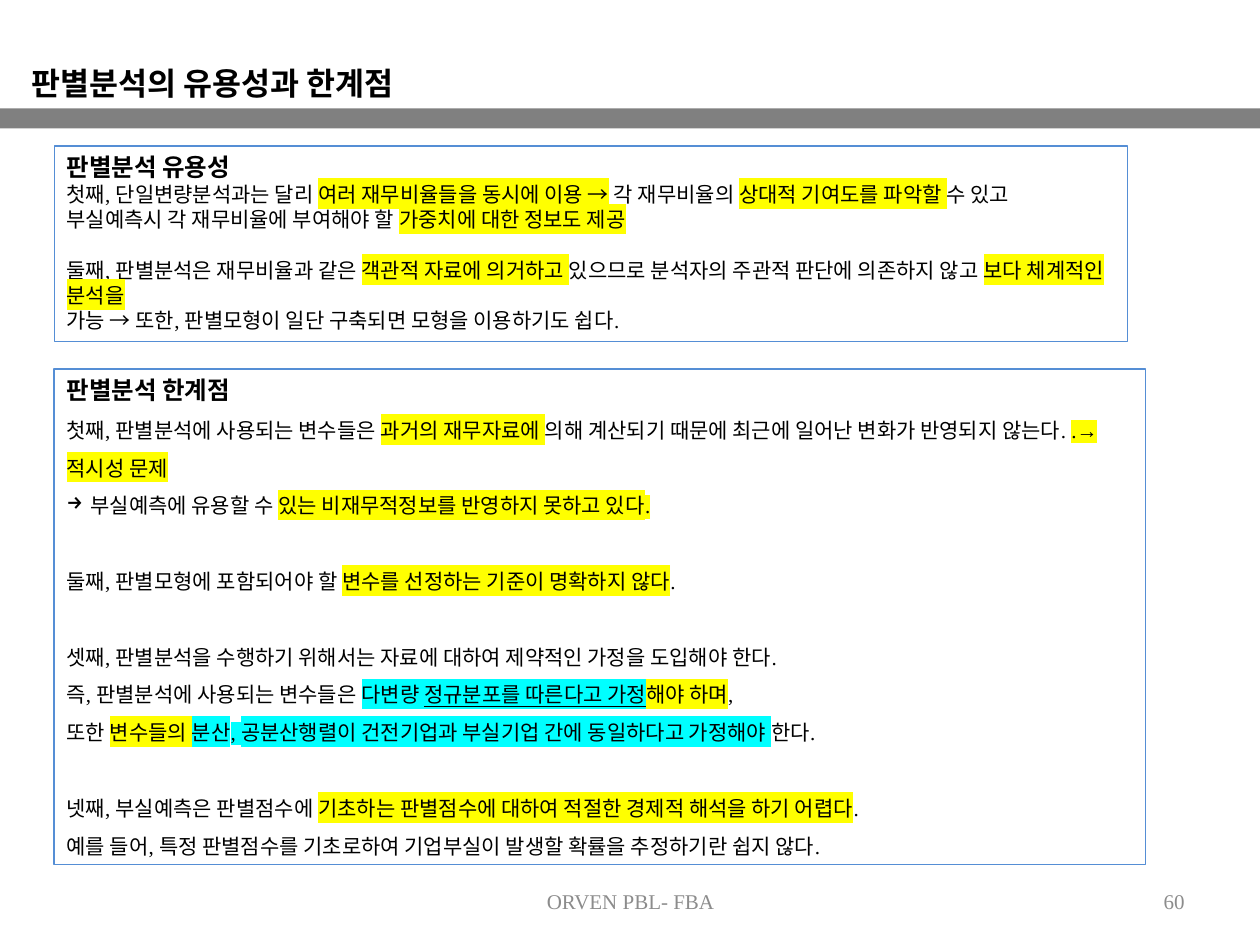
from lxml.etree import SubElement
from pptx import Presentation
from pptx.dml.color import RGBColor
from pptx.enum.shapes import MSO_SHAPE as Shape
from pptx.enum.text import MSO_ANCHOR as Anchor, PP_ALIGN as Align
from pptx.oxml.ns import qn
from pptx.util import Inches, Pt

KOREAN, LATIN = "Noto Sans CJK KR", "Times New Roman"
BLACK, GRAY, BAR, BORDER = "000000", "8C8C8C", "808080", "558ED5"
YELLOW, CYAN = "FFFF00", "00FFFF"


def color(value):
    return RGBColor.from_string(value)


class SlideBuilder:
    """Holds the text style and the current slide."""

    def __init__(self, slide, body_size=12, heading_size=14):
        self.slide = slide
        self.body_size = body_size
        self.heading_size = heading_size

    def rectangle(self, left, top, width, height, fill=None, line=None):
        shape = self.slide.shapes.add_shape(
            Shape.RECTANGLE, Inches(left), Inches(top), Inches(width), Inches(height))
        shape.shadow.inherit = False
        if fill:
            shape.fill.solid()
            shape.fill.fore_color.rgb = color(fill)
        else:
            shape.fill.background()
        if line:
            shape.line.color.rgb = color(line)
            shape.line.width = Pt(0.75)
        else:
            shape.line.fill.background()
        return shape

    def format_run(self, run, size, bold=False, ink=BLACK, font=LATIN,
                   highlight=None, underline=False):
        run.font.size = Pt(size)
        run.font.bold = bold
        if underline:
            run.font.underline = True
        run.font.fill.solid()
        run.font.fill.fore_color.rgb = color(ink)
        properties = run.font._element
        if highlight:
            mark = SubElement(properties, qn("a:highlight"))
            SubElement(mark, qn("a:srgbClr"), val=highlight)
        run.font.name = font
        SubElement(properties, qn("a:ea"), typeface=KOREAN)

    def label(self, text, left, top, width, height, align=Align.LEFT,
              anchor=Anchor.TOP, spacing=1.0, **style):
        box = self.slide.shapes.add_textbox(
            Inches(left), Inches(top), Inches(width), Inches(height))
        frame = box.text_frame
        frame.word_wrap = True
        frame.vertical_anchor = anchor
        frame.text = text
        paragraph = frame.paragraphs[0]
        paragraph.alignment = align
        paragraph.line_spacing = spacing
        self.format_run(paragraph.runs[0], **style)

    def bullet(self, paragraph, character, indent=0.19):
        properties = paragraph._p.get_or_add_pPr()
        properties.set("marL", str(Inches(indent)))
        properties.set("indent", str(-Inches(indent)))
        SubElement(properties, qn("a:buChar"), char=character)

    def panel(self, left, top, width, height, heading, groups, spacing, gap):
        """Bordered box: a heading, then groups of lines set apart by a gap."""
        frame = self.rectangle(left, top, width, height, line=BORDER).text_frame
        frame.word_wrap = True
        frame.vertical_anchor = Anchor.TOP
        frame.text = heading
        title = frame.paragraphs[0]
        title.alignment = Align.LEFT
        self.format_run(title.runs[0], self.heading_size, bold=True)
        for group_index, group in enumerate(groups):
            for line_index, pieces in enumerate(group):
                paragraph = frame.add_paragraph()
                paragraph.alignment = Align.LEFT
                paragraph.line_spacing = spacing
                if group_index and not line_index:
                    paragraph.space_before = Pt(gap)
                if pieces[0] == "→":
                    self.bullet(paragraph, pieces[0])
                    pieces = pieces[1:]
                for piece in pieces:
                    text, highlight, underline = (
                        (piece, None, False) if isinstance(piece, str)
                        else (*piece, False)[:3])
                    run = paragraph.add_run()
                    run.text = text
                    self.format_run(run, self.body_size, highlight=highlight,
                                    underline=underline)


# Each group is a list of lines; a line is plain text and (text, highlight) pieces.
USEFULNESS = [
    [
        ["첫째, 단일변량분석과는 달리 ", ("여러 재무비율들을 동시에 이용 →", YELLOW),
         " 각 재무비율의 ", ("상대적 기여도를 파악할 ", YELLOW), "수 있고"],
        ["부실예측시 각 재무비율에 부여해야 할 ", ("가중치에 대한 정보도 제공", YELLOW)],
    ],
    [
        ["둘째, 판별분석은 재무비율과 같은 ", ("객관적 자료에 의거하고 ", YELLOW),
         "있으므로 분석자의 주관적 판단에 의존하지 않고 ", ("보다 체계적인 분석을", YELLOW)],
        ["가능 → 또한, 판별모형이 일단 구축되면 모형을 이용하기도 쉽다."],
    ],
]
LIMITS = [
    [
        ["첫째, 판별분석에 사용되는 변수들은 ", ("과거의 재무자료에 ", YELLOW),
         "의해 계산되기 때문에 최근에 일어난 변화가 반영되지 않는다. ",
         (".→적시성 문제", YELLOW)],
        ["→", "부실예측에 유용할 수 ", ("있는 비재무적정보를 반영하지 못하고 있다.", YELLOW)],
    ],
    [
        ["둘째, 판별모형에 포함되어야 할 ",
         ("변수를 선정하는 기준이 명확하지 않다", YELLOW), "."],
    ],
    [
        ["셋째, 판별분석을 수행하기 위해서는 자료에 대하여 제약적인 가정을 도입해야 한다."],
        ["즉, 판별분석에 사용되는 변수들은 ", ("다변량 ", CYAN),
         ("정규분포를 따른다고 가정", CYAN, True), ("해야 하며", YELLOW), ","],
        ["또한 ", ("변수들의 ", YELLOW),
         ("분산, 공분산행렬이 건전기업과 부실기업 간에 동일하다고 가정해야 ", CYAN), "한다."],
    ],
    [
        ["넷째, 부실예측은 판별점수에 ",
         ("기초하는 판별점수에 대하여 적절한 경제적 해석을 하기 어렵다", YELLOW), "."],
        ["예를 들어, 특정 판별점수를 기초로하여 기업부실이 발생할 확률을 추정하기란 쉽지 않다."],
    ],
]


def main():
    presentation = Presentation()
    presentation.slide_width = Inches(10)
    presentation.slide_height = Inches(7.5)
    builder = SlideBuilder(presentation.slides.add_slide(presentation.slide_layouts[6]))

    # Title and bar
    builder.rectangle(0, 0.86, 10, 0.16, fill=BAR)
    builder.label("판별분석의 유용성과 한계점", 0.15, 0.37, 6.54, 0.45,
                  spacing=1.3, size=18, bold=True, font=KOREAN)

    # Usefulness and limits
    builder.panel(0.43, 1.16, 8.52, 1.55, "판별분석 유용성", USEFULNESS, 1.0, 14.4)
    builder.panel(0.43, 2.93, 8.66, 3.93, "판별분석 한계점", LIMITS, 1.5, 21.6)

    # Footer and page number
    footer = {"anchor": Anchor.MIDDLE, "size": 12, "ink": GRAY}
    builder.label("ORVEN PBL- FBA", 3.42, 6.95, 3.17, 0.4, align=Align.CENTER, **footer)
    builder.label("60", 7.17, 6.95, 2.33, 0.4, align=Align.RIGHT, **footer)

    presentation.save("out.pptx")


if __name__ == "__main__":
    main()
